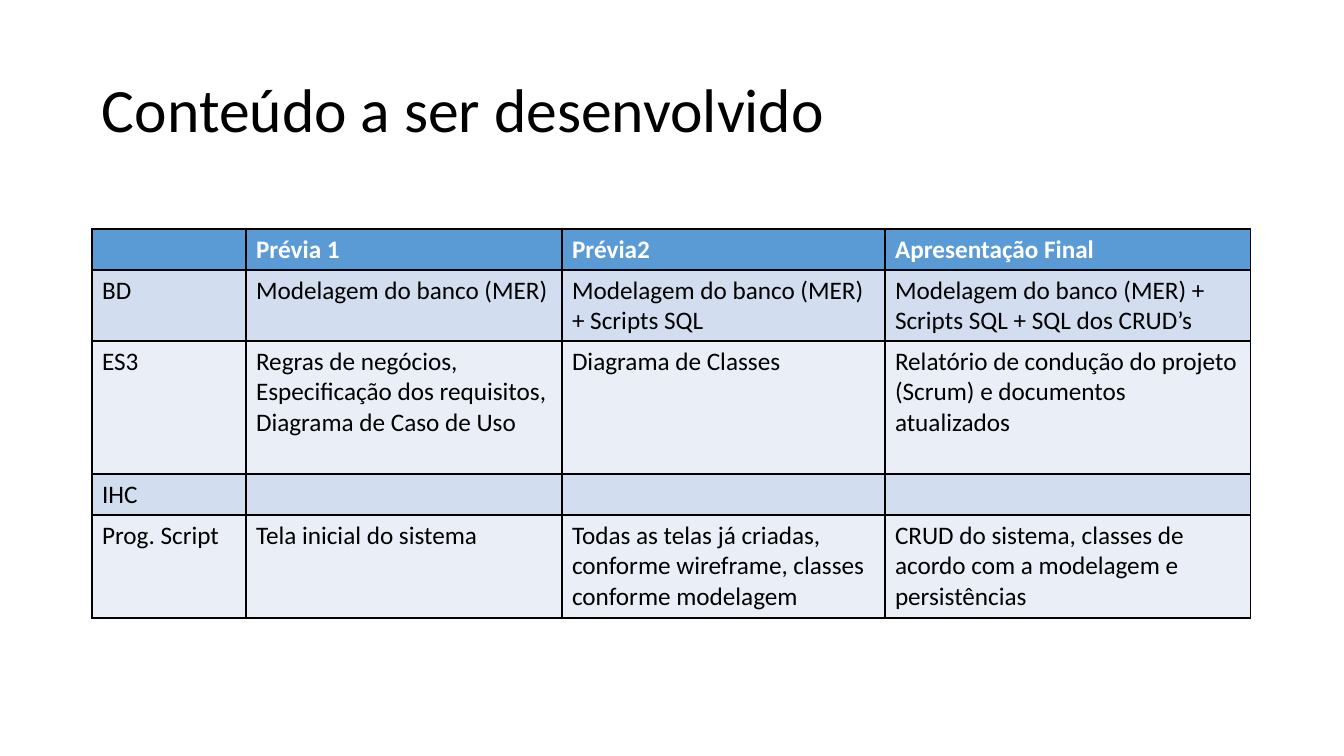
"""Build the slide that lists the content to be developed per subject."""
import lxml.etree
import pptx
import pptx.dml.color
import pptx.enum.text
import pptx.oxml.ns
import pptx.util

EMU_PER_PIXEL = 914400 / 100.8
FONT = "Calibri"
BLACK = pptx.dml.color.RGBColor(0x00, 0x00, 0x00)
WHITE = pptx.dml.color.RGBColor(0xFF, 0xFF, 0xFF)
HEADER_BLUE = pptx.dml.color.RGBColor(0x5B, 0x9B, 0xD5)
BAND_DARK = pptx.dml.color.RGBColor(0xD2, 0xDE, 0xEF)
BAND_LIGHT = pptx.dml.color.RGBColor(0xEA, 0xEF, 0xF7)

COLUMN_WIDTHS = [154, 316, 323, 366]
ROW_HEIGHTS = [41, 71, 133, 41, 103]
CONTENT = [
    ["", "Prévia 1", "Prévia2", "Apresentação Final"],
    ["BD", "Modelagem do banco (MER)", "Modelagem do banco (MER) + Scripts SQL",
     "Modelagem do banco (MER) + Scripts SQL + SQL dos CRUD’s"],
    ["ES3", "Regras de negócios, Especificação dos requisitos, Diagrama de Caso de Uso",
     "Diagrama de Classes",
     "Relatório de condução do projeto (Scrum) e documentos atualizados"],
    ["IHC", "", "", ""],
    ["Prog. Script", "Tela inicial do sistema",
     "Todas as telas já criadas, conforme wireframe, classes conforme modelagem",
     "CRUD do sistema, classes de acordo com a modelagem e persistências"],
]


def pixels(length):
    """Turn picture pixels into EMU."""
    return pptx.util.Emu(round(length * EMU_PER_PIXEL))


def add_run(paragraph, text, size, color, bold=False):
    """Append a formatted run to a paragraph."""
    run = paragraph.add_run()
    run.text = text
    run.font.name = FONT
    run.font.size = pptx.util.Pt(size)
    run.font.bold = bold
    run.font.color.rgb = color


def add_title(slide, text, left, top, width, height):
    """Add the vertically centred slide title."""
    shape = slide.shapes.add_textbox(*map(pixels, (left, top, width, height)))
    frame = shape.text_frame
    frame.word_wrap = True
    frame.vertical_anchor = pptx.enum.text.MSO_ANCHOR.MIDDLE
    paragraph = frame.paragraphs[0]
    paragraph.line_spacing = 0.9
    add_run(paragraph, text, 44, BLACK)


def add_borders(cell, color, width):
    """Draw a solid line on all four sides of a cell."""
    properties = cell._tc.get_or_add_tcPr()
    qualified = pptx.oxml.ns.qn
    for side in ("a:lnL", "a:lnR", "a:lnT", "a:lnB"):
        line = lxml.etree.SubElement(properties, qualified(side), w=str(pptx.util.Pt(width)))
        fill = lxml.etree.SubElement(line, qualified("a:solidFill"))
        lxml.etree.SubElement(fill, qualified("a:srgbClr"), val=str(color))


def fill_cell(cell, text, fill_color, text_color, bold):
    """Set the borders, fill and text of a cell."""
    add_borders(cell, BLACK, 1)
    cell.fill.solid()
    cell.fill.fore_color.rgb = fill_color
    if text:
        add_run(cell.text_frame.paragraphs[0], text, 18, text_color, bold)


def add_content_table(slide, left, top):
    """Add the table of subjects and deliveries."""
    size = (sum(COLUMN_WIDTHS), sum(ROW_HEIGHTS))
    table = slide.shapes.add_table(
        len(ROW_HEIGHTS), len(COLUMN_WIDTHS), *map(pixels, (left, top, *size))).table
    table.horz_banding = False
    for column, width in zip(table.columns, COLUMN_WIDTHS):
        column.width = pixels(width)
    for index, (row, height, texts) in enumerate(zip(table.rows, ROW_HEIGHTS, CONTENT)):
        row.height = pixels(height)
        header = index == 0
        band = BAND_DARK if index % 2 else BAND_LIGHT
        for cell, text in zip(row.cells, texts):
            fill_cell(cell, text, HEADER_BLUE if header else band,
                      WHITE if header else BLACK, header)


def main():
    """Build and save the presentation."""
    presentation = pptx.Presentation()
    presentation.slide_width = pixels(1344)
    presentation.slide_height = pixels(756)
    slide = presentation.slides.add_slide(presentation.slide_layouts[6])
    add_title(slide, "Conteúdo a ser desenvolvido", 92, 40, 1159, 146)
    add_content_table(slide, 92, 229)
    presentation.save("out.pptx")


main()
